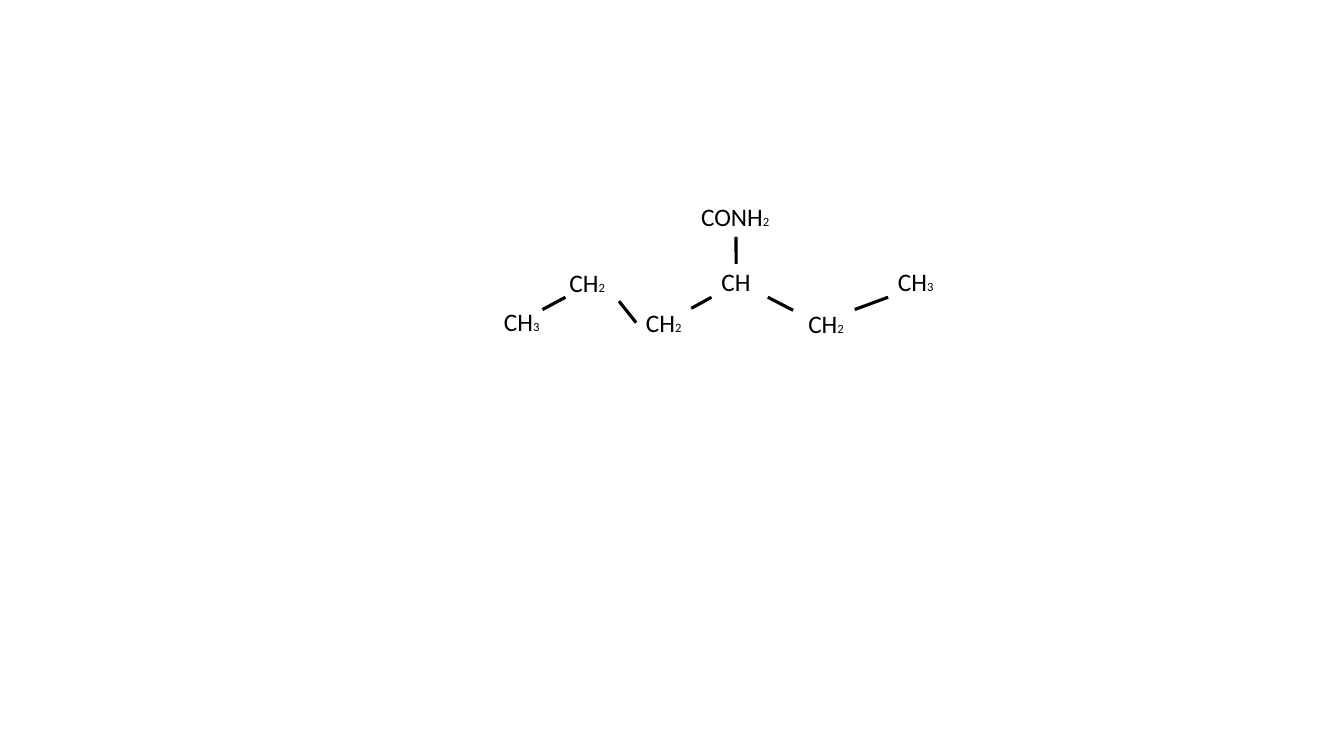
import pptx
import pptx.util
import pptx.dml.color
import pptx.enum.shapes
import pptx.enum.text
import pptx.oxml

Cm, Pt = pptx.util.Cm, pptx.util.Pt

GROUPS = {
    "amide": ("CONH", "2", 17.42, 4.95, 2.26),
    "upper": ("CH", "2", 14.1, 6.6, 1.42),
    "left": ("CH", "3", 12.45, 7.59, 1.42),
    "centre": ("CH", "", 17.93, 6.58, 1.24),
    "lower": ("CH", "2", 16.03, 7.62, 1.42),
    "ethyl": ("CH", "2", 20.12, 7.65, 1.42),
    "right": ("CH", "3", 22.38, 6.58, 1.42),
}
BONDS = [
    ((21.54, 7.8), (22.38, 7.49), None),
    ((19.35, 7.49), (19.99, 7.82), None),
    ((13.67, 7.8), (14.25, 7.49), None),
    ((15.6, 7.59), (16.03, 8.13), ("lower", 1)),
    ((17.42, 7.77), (17.93, 7.49), None),
    ((18.55, 6.65), (18.55, 5.97), ("amide", 2)),
]
THEME = {
    "ink": pptx.dml.color.RGBColor(0, 0, 0),
    "font": "Calibri",
    "main": Pt(18),
    "small": Pt(9),
    "bond": Pt(2.25),
}
HEIGHT = 1.02
FRAME = {
    "word_wrap": False,
    "auto_size": pptx.enum.text.MSO_AUTO_SIZE.SHAPE_TO_FIT_TEXT,
}


def style(item, values):
    for name, value in values.items():
        setattr(item, name, value)


def add_group(slide, text, count, left, top, width):
    box = slide.shapes.add_textbox(Cm(left), Cm(top), Cm(width), Cm(HEIGHT))
    style(box.text_frame, FRAME)
    line = box.text_frame.paragraphs[0]
    for part, size in ((text, "main"), (count, "small")):
        if part:
            run = line.add_run()
            run.text = part
            style(run.font, {"name": THEME["font"], "size": THEME[size]})
            run.font.color.rgb = THEME["ink"]
    return box


def add_bond(slide, start, end, joint, boxes):
    kind = pptx.enum.shapes.MSO_CONNECTOR.STRAIGHT
    bond = slide.shapes.add_connector(kind, *map(Cm, start + end))
    if joint:
        name, side = joint
        bond.end_connect(boxes[name], side)
    bond.line.width = THEME["bond"]
    bond.line.color.rgb = THEME["ink"]
    plain = pptx.oxml.parse_xml(
        '<a:effectLst xmlns:a="http://schemas.openxmlformats.org/drawingml/2006/main"/>'
    )
    bond.element.spPr.append(plain)


def main():
    deck = pptx.Presentation()
    style(deck, {"slide_width": Cm(33.87), "slide_height": Cm(19.05)})
    slide = deck.slides.add_slide(deck.slide_layouts[6])
    boxes = {name: add_group(slide, *group) for name, group in GROUPS.items()}
    for bond in BONDS:
        add_bond(slide, *bond, boxes)
    deck.save("out.pptx")


if __name__ == "__main__":
    main()
